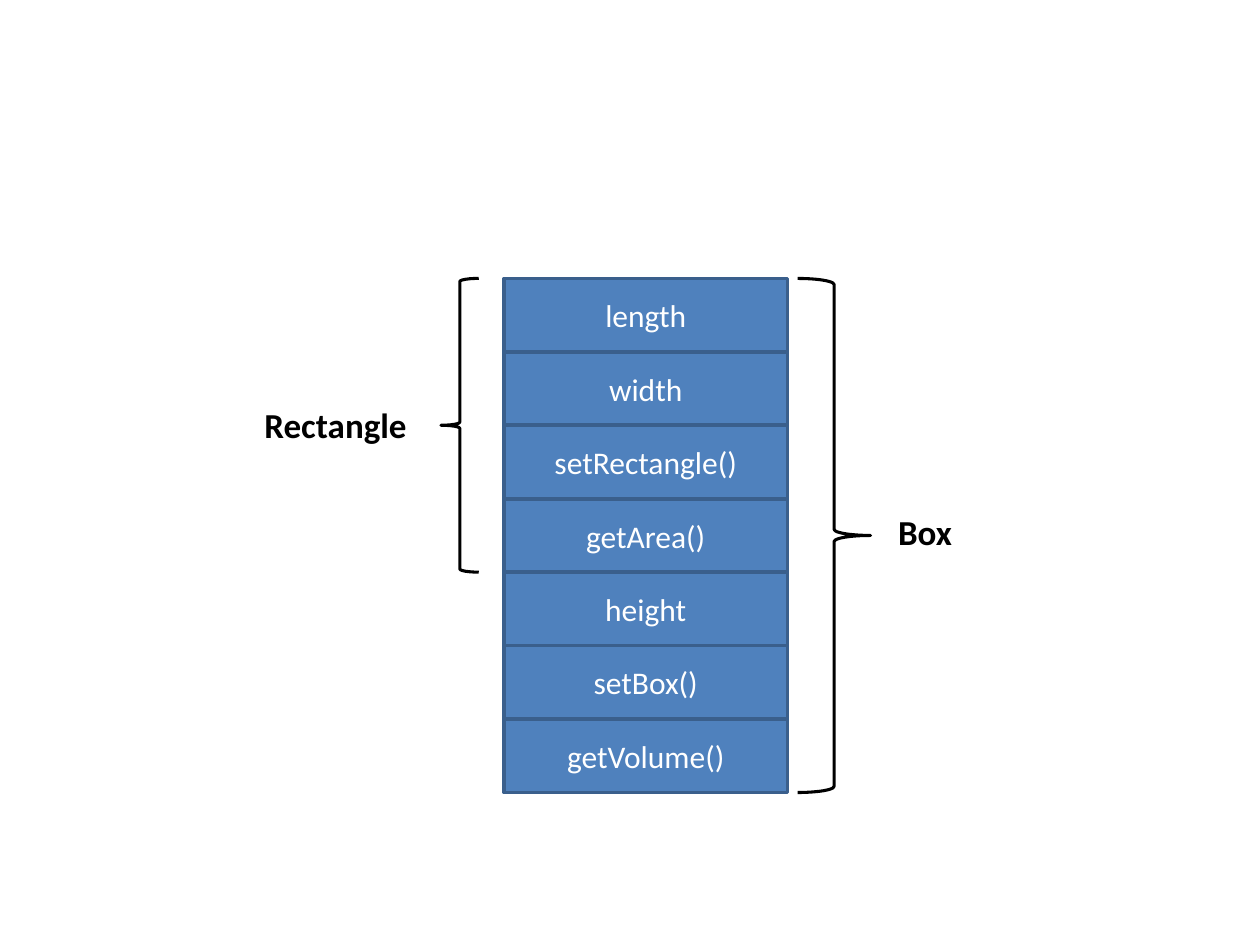
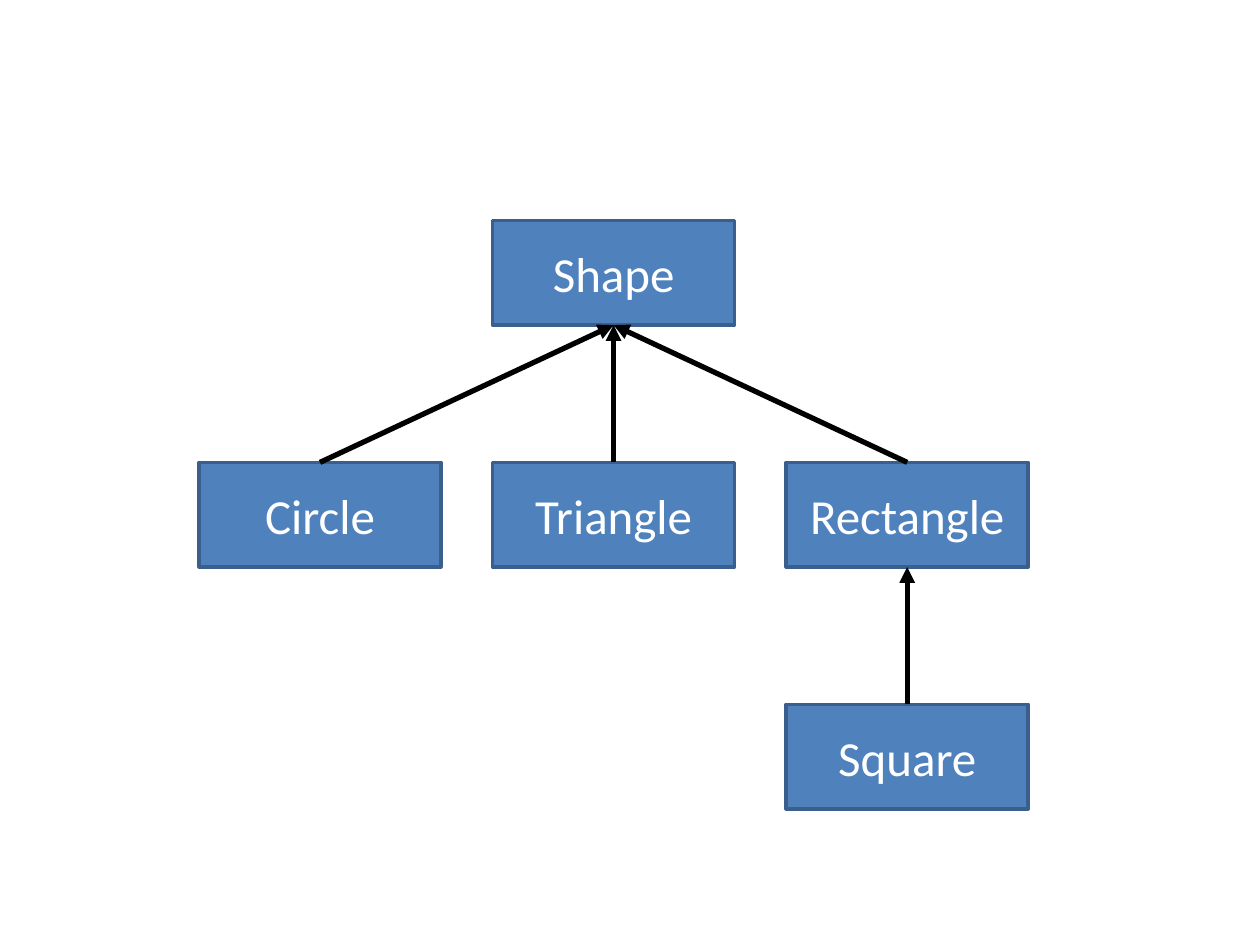
import pptx
import pptx.dml.color
import pptx.enum.shapes
import pptx.enum.text
import pptx.oxml.ns
import pptx.util
from lxml import etree

Inches = pptx.util.Inches
Pt = pptx.util.Pt
SHAPES = pptx.enum.shapes.MSO_SHAPE

FONT = "Calibri"
BOX_FILL = "4F81BD"
BOX_LINE = "3A5F8C"
WHITE = "FFFFFF"
BLACK = "000000"
TOP, BOTTOM = 0, 2


def color(hex_string):
    return pptx.dml.color.RGBColor.from_string(hex_string)


def add_box(shapes, text, left, top, width, height, size):
    """Add a blue rectangle with centred white text."""
    box = shapes.add_shape(SHAPES.RECTANGLE, Inches(left), Inches(top),
                           Inches(width), Inches(height))
    box.shadow.inherit = False
    box.fill.solid()
    box.fill.fore_color.rgb = color(BOX_FILL)
    box.line.color.rgb = color(BOX_LINE)
    box.line.width = Pt(2)
    box.text_frame.vertical_anchor = pptx.enum.text.MSO_ANCHOR.MIDDLE
    paragraph = box.text_frame.paragraphs[0]
    paragraph.alignment = pptx.enum.text.PP_ALIGN.CENTER
    run = paragraph.add_run()
    run.text = text
    run.font.name = FONT
    run.font.size = Pt(size)
    run.font.color.rgb = color(WHITE)
    return box


presentation = pptx.Presentation()
presentation.slide_width = Inches(10)
presentation.slide_height = Inches(7.5)
blank_layout = presentation.slide_layouts[6]

# Slide 1: members of Box, the first four inherited from Rectangle
slide = presentation.slides.add_slide(blank_layout)
members = ["length", "width", "setRectangle()", "getArea()",
           "height", "setBox()", "getVolume()"]
inherited_count = 4
stack_top, stack_height = 2.21, 4.08
row_height = stack_height / len(members)

stack = slide.shapes.add_group_shape()
for index, member in enumerate(members):
    add_box(stack.shapes, member, 4, stack_top + index * row_height, 2.25, row_height, 18)

for kind, left, width, height in [
    (SHAPES.LEFT_BRACE, 3.5, 0.3, inherited_count * row_height),
    (SHAPES.RIGHT_BRACE, 6.33, 0.58, stack_height),
]:
    brace = slide.shapes.add_shape(kind, Inches(left), Inches(stack_top),
                                   Inches(width), Inches(height))
    brace.shadow.inherit = False
    brace.fill.background()
    brace.line.color.rgb = color(BLACK)
    brace.line.width = Pt(1.75)

for class_name, left, top, width in [("Rectangle", 2, 3.15, 1.34), ("Box", 7.03, 4, 0.63)]:
    label = slide.shapes.add_textbox(Inches(left), Inches(top), Inches(width), Inches(0.44))
    label.text_frame.word_wrap = False
    label.text_frame.auto_size = pptx.enum.text.MSO_AUTO_SIZE.SHAPE_TO_FIT_TEXT
    run = label.text_frame.paragraphs[0].add_run()
    run.text = class_name
    run.font.name = FONT
    run.font.size = Pt(20)
    run.font.bold = True
    run.font.color.rgb = color(BLACK)

# Slide 2: class hierarchy, placed by column and row
slide = presentation.slides.add_slide(blank_layout)
class_places = {"Shape": (1, 0), "Rectangle": (2, 1), "Triangle": (1, 1),
                "Circle": (0, 1), "Square": (2, 2)}
class_boxes = {}
for class_name, (column, row) in class_places.items():
    class_boxes[class_name] = add_box(
        slide.shapes, class_name, 1.58 + column * 2.33, 1.75 + row * 1.92, 1.92, 0.83, 28)

for child, parent in [("Circle", "Shape"), ("Triangle", "Shape"),
                      ("Rectangle", "Shape"), ("Square", "Rectangle")]:
    arrow = slide.shapes.add_connector(pptx.enum.shapes.MSO_CONNECTOR.STRAIGHT, 0, 0, 0, 0)
    arrow.begin_connect(class_boxes[child], TOP)
    arrow.end_connect(class_boxes[parent], BOTTOM)
    arrow.line.color.rgb = color(BLACK)
    arrow.line.width = Pt(3)
    etree.SubElement(arrow.line._get_or_add_ln(), pptx.oxml.ns.qn("a:tailEnd"), type="triangle")
    etree.SubElement(arrow._element.spPr, pptx.oxml.ns.qn("a:effectLst"))

presentation.save("out.pptx")
